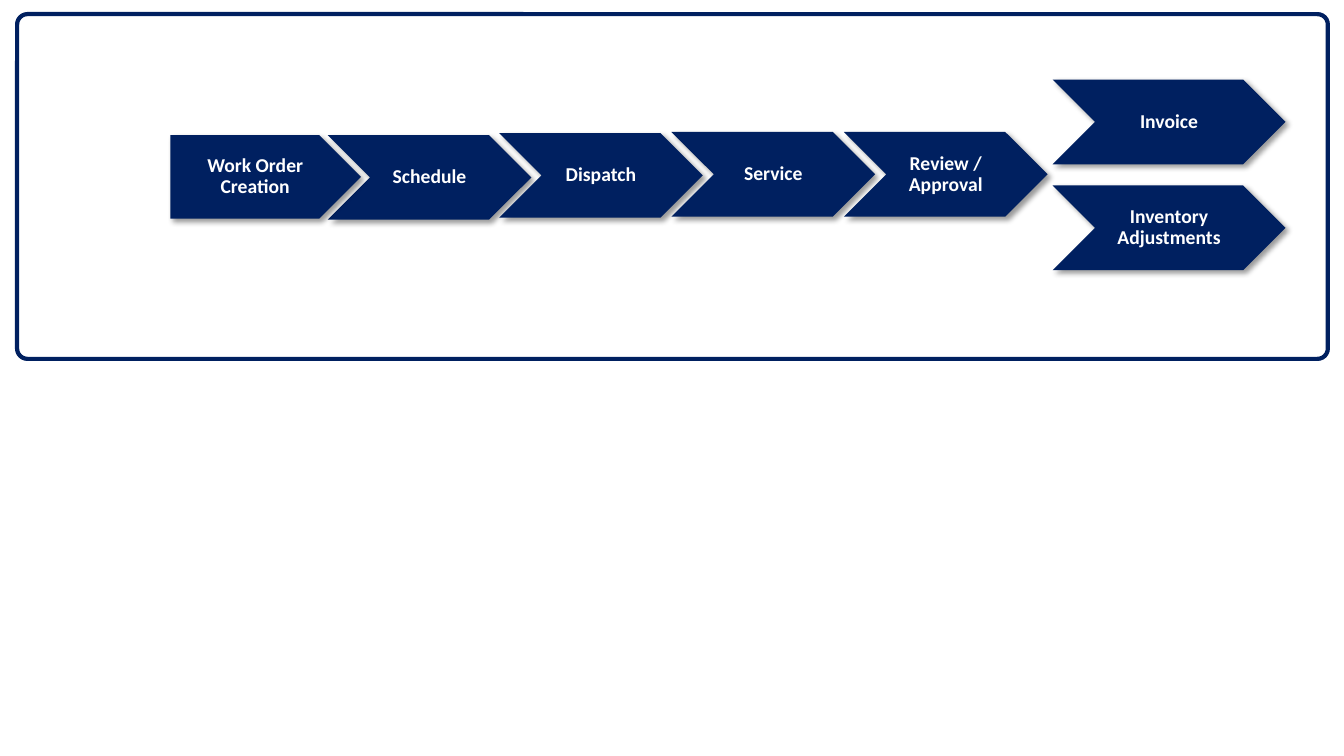
from lxml.etree import SubElement
from pptx import Presentation
from pptx.dml.color import RGBColor
from pptx.enum.shapes import MSO_SHAPE
from pptx.enum.text import MSO_ANCHOR, PP_ALIGN
from pptx.oxml.ns import qn
from pptx.util import Inches, Pt

COLORS = {"navy": "002060", "white": "FFFFFF", "shade": "000000"}
STEP_W, STEP_H = 2.02, 0.84
END_X, END_W = 10.44, 2.31

# Label, left, top
STEPS = [
    ("Schedule", 3.25, 1.34),
    ("Dispatch", 4.95, 1.32),
    ("Service", 6.66, 1.31),
    ("Review / Approval", 8.37, 1.31),
]
ENDS = [("Invoice", 0.79), ("Inventory Adjustments", 1.84)]


def color(name):
    return RGBColor.from_string(COLORS[name])


def add_box(slide, kind, left, top, width, height, fill):
    box = slide.shapes.add_shape(
        kind, Inches(left), Inches(top), Inches(width), Inches(height))
    box.fill.solid()
    box.fill.fore_color.rgb = color(fill)
    box.shadow.inherit = False
    return box


def add_frame(slide):
    frame = add_box(slide, MSO_SHAPE.ROUNDED_RECTANGLE,
                    0.17, 0.14, 13, 3.42, "white")
    frame.adjustments[0] = 0.03
    frame.line.color.rgb = color("navy")
    frame.line.width = Pt(3)


def cast_shadow(shape):
    """Add a soft shadow that falls to the lower right."""
    effects = shape._element.spPr.find(qn("a:effectLst"))
    outer = SubElement(effects, qn("a:outerShdw"), blurRad=str(Pt(4)),
                       dist=str(Pt(3)), dir=str(45 * 60000),
                       algn="tl", rotWithShape="0")
    shade = SubElement(outer, qn("a:srgbClr"), val=COLORS["shade"])
    SubElement(shade, qn("a:alpha"), val="40000")


def add_label(shape, text):
    frame = shape.text_frame
    frame.word_wrap = True
    frame.vertical_anchor = MSO_ANCHOR.MIDDLE
    frame.margin_left = frame.margin_right = Inches(0.2)
    frame.margin_top = frame.margin_bottom = Inches(0.16)
    para = frame.paragraphs[0]
    para.alignment = PP_ALIGN.CENTER
    para.line_spacing = 0.9
    run = para.add_run()
    run.text = text
    run.font.name = "Calibri"
    run.font.size = Pt(14)
    run.font.bold = True
    run.font.color.rgb = color("white")


def add_step(slide, text, left, top, width=STEP_W, height=STEP_H,
             kind=MSO_SHAPE.CHEVRON):
    step = add_box(slide, kind, left, top, width, height, "navy")
    step.line.fill.background()
    cast_shadow(step)
    add_label(step, text)


def main():
    deck = Presentation()
    deck.slide_width = Inches(13.33)
    deck.slide_height = Inches(7.5)
    slide = deck.slides.add_slide(deck.slide_layouts[6])

    add_frame(slide)
    for text, left, top in STEPS:
        add_step(slide, text, left, top)
    add_step(slide, "Work Order Creation", 1.69, 1.34, 1.89, 0.83,
             MSO_SHAPE.PENTAGON)
    for text, top in ENDS:
        add_step(slide, text, END_X, top, END_W)

    deck.save("out.pptx")


if __name__ == "__main__":
    main()
